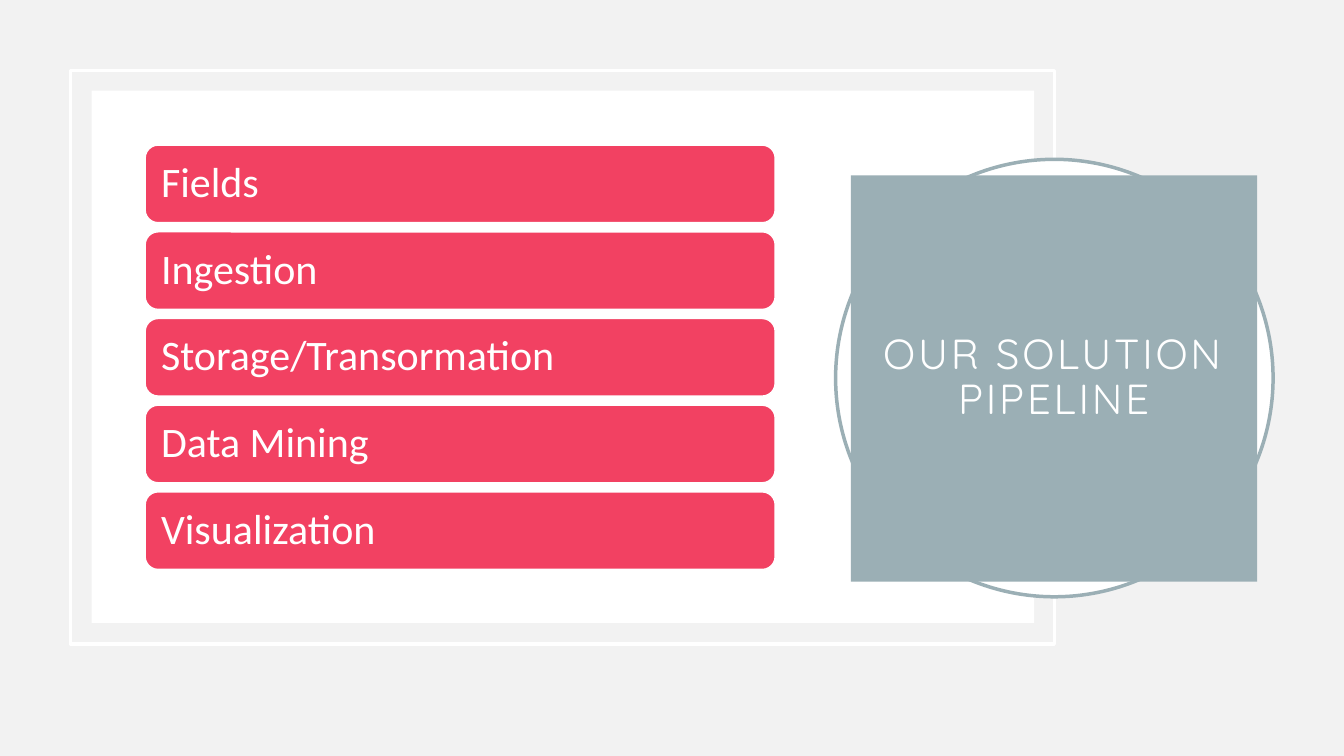
"""Build the solution pipeline slide."""
from pptx import Presentation
from pptx.dml.color import RGBColor
from pptx.enum import shapes, text
from pptx.util import Pt

TITLE = "OUR SOLUTION PIPELINE"
STAGES = ["Fields", "Ingestion", "Storage/Transormation", "Data Mining", "Visualization"]
PAPER, WHITE, PINK, SLATE = "F2F2F2", "FFFFFF", "F24162", "9BAFB5"
FRAME = (50.4, 50.4, 702.7, 409.7)
PANEL = (65.5, 64.8, 673.2, 380.2)
RING = (596.9, 113.8, 312.5, 312.5)
TITLE_BOX = (607.7, 125.3, 290.2, 290.2)
BAR_LEFT, BAR_TOP, BAR_WIDTH, BAR_HEIGHT, BAR_STEP = 103.7, 103.7, 450, 55.4, 61.92


def color(value):
    return RGBColor.from_string(value)


def add_box(s, kind, box, fill=None, line=None, width=1):
    sp = s.shapes.add_shape(kind, *map(Pt, box))
    sp.shadow.inherit = False
    if fill:
        sp.fill.solid()
        sp.fill.fore_color.rgb = color(fill)
    else:
        sp.fill.background()
    if line:
        sp.line.color.rgb = color(line)
        sp.line.width = Pt(width)
    else:
        sp.line.fill.background()
    return sp


def write(sp, words, font, align, inset):
    tf = sp.text_frame
    tf.text = words
    tf.word_wrap = True
    tf.auto_size = text.MSO_AUTO_SIZE.NONE
    tf.vertical_anchor = text.MSO_ANCHOR.MIDDLE
    tf.margin_left = tf.margin_right = tf.margin_top = tf.margin_bottom = Pt(inset)
    p = tf.paragraphs[0]
    p.alignment = align
    p.line_spacing = 0.9
    p.font.name = font
    p.font.size = Pt(30)
    p.font.color.rgb = color(WHITE)
    return p


def add_title(s):
    sp = s.shapes.title
    sp.left, sp.top, sp.width, sp.height = map(Pt, TITLE_BOX)
    sp.fill.solid()
    sp.fill.fore_color.rgb = color(SLATE)
    p = write(sp, TITLE, "Quicksand", text.PP_ALIGN.CENTER, 14.4)
    p.runs[0].font._element.set("spc", "200")
    s.shapes._spTree.append(sp._element)


def main():
    prs = Presentation()
    prs.slide_width, prs.slide_height = Pt(960), Pt(540)
    s = prs.slides.add_slide(prs.slide_layouts[5])
    s.background.fill.solid()
    s.background.fill.fore_color.rgb = color(PAPER)

    kind = shapes.MSO_SHAPE
    add_box(s, kind.RECTANGLE, FRAME, line=WHITE, width=2.5)
    add_box(s, kind.RECTANGLE, PANEL, WHITE)
    for i, stage in enumerate(STAGES):
        box = (BAR_LEFT, BAR_TOP + i * BAR_STEP, BAR_WIDTH, BAR_HEIGHT)
        bar = add_box(s, kind.ROUNDED_RECTANGLE, box, PINK, WHITE)
        write(bar, stage, "Calibri", text.PP_ALIGN.LEFT, 8.64)
    add_box(s, kind.OVAL, RING, WHITE, SLATE, 2.5)
    add_title(s)
    prs.save("out.pptx")


if __name__ == "__main__":
    main()
